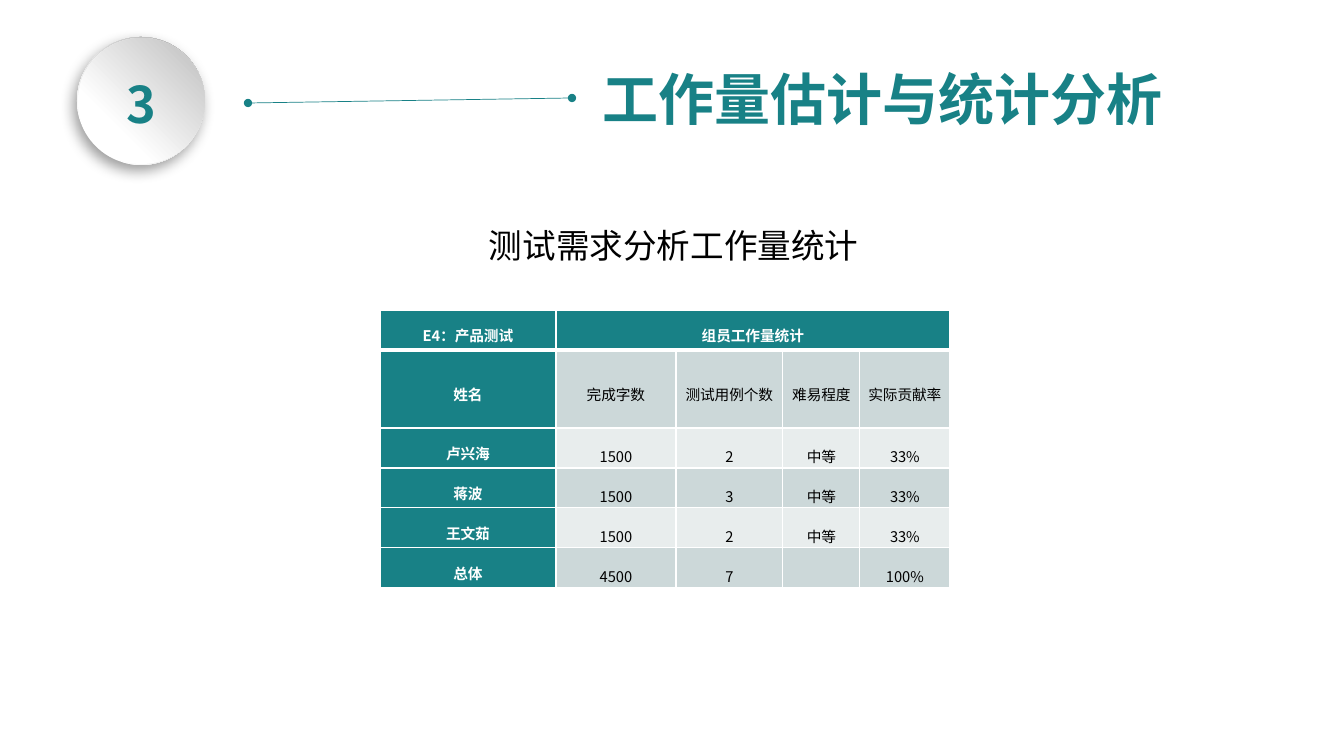
from lxml import etree
from pptx import Presentation, util as u
from pptx.dml.color import RGBColor
from pptx.enum import shapes, text
from pptx.oxml import ns

TEAL = RGBColor(0x18, 0x81, 0x86)
WHITE = RGBColor(0xFF, 0xFF, 0xFF)
BLACK = RGBColor(0x00, 0x00, 0x00)
BAND_DARK = RGBColor(0xCC, 0xD8, 0xD9)
BAND_LIGHT = RGBColor(0xE8, 0xED, 0xED)
SILVER = RGBColor(0xB8, 0xB8, 0xB8)
PALE_SILVER = RGBColor(0xBF, 0xBF, 0xBF)

WORKLOAD = [
    ["E4：产品测试", "组员工作量统计", "", "", ""],
    ["姓名", "完成字数", "测试用例个数", "难易程度", "实际贡献率"],
    ["卢兴海", "1500", "2", "中等", "33%"],
    ["蒋波", "1500", "3", "中等", "33%"],
    ["王文茹", "1500", "2", "中等", "33%"],
    ["总体", "4500", "7", "", "100%"],
]


def px(length):
    """Turn px into EMU."""
    return u.Emu(round(length * u.Inches(1) / 100.8))


def add_xml(parent, tag, **attributes):
    """Append a drawing element and return it."""
    values = {name: str(value) for name, value in attributes.items()}
    return etree.SubElement(parent, ns.qn(tag), values)


class WorkloadSlide:
    """Draw elements on one slide in a shared style."""

    font = "Noto Sans CJK SC"

    def __init__(self, slide):
        self.slide = slide

    def add_words(self, paragraph, words, size, color, bold=False):
        """Add one styled run."""
        run = paragraph.add_run()
        run.text = words
        run.font.name = self.font
        run.font.size = u.Pt(size)
        run.font.bold = bold
        run.font.color.rgb = color
        add_xml(run.font._element, "a:ea", typeface=self.font)

    def label(self, box, words, size, color, bold=False, align=text.PP_ALIGN.LEFT, wrap=True):
        """Add a text box with a single line."""
        frame = self.slide.shapes.add_textbox(*map(px, box)).text_frame
        frame.word_wrap = wrap
        frame.auto_size = text.MSO_AUTO_SIZE.SHAPE_TO_FIT_TEXT
        frame.paragraphs[0].alignment = align
        self.add_words(frame.paragraphs[0], words, size, color, bold)

    def disc(self, box, stops, shadow=False):
        """Add a gradient disc, with a soft shadow if asked."""
        disc = self.slide.shapes.add_shape(shapes.MSO_SHAPE.OVAL, *map(px, box))
        disc.shadow.inherit = False
        disc.line.fill.background()
        disc.fill.gradient()
        disc.fill.gradient_angle = 45
        for stop, (position, color) in zip(disc.fill.gradient_stops, stops):
            stop.position = position
            stop.color.rgb = color
        if shadow:
            effects = disc._element.spPr.find(ns.qn("a:effectLst"))
            outer = add_xml(effects, "a:outerShdw", blurRad=u.Pt(10), dist=u.Pt(5),
                            dir=123 * 60000, algn="ctr", rotWithShape=0)
            add_xml(add_xml(outer, "a:srgbClr", val=BLACK), "a:alpha", val=39000)

    def dotted_end_line(self, start, end):
        """Add a thin line with a dot at each end."""
        line = self.slide.shapes.add_connector(
            shapes.MSO_CONNECTOR.STRAIGHT, *map(px, start + end))
        line.line.color.rgb = TEAL
        line.line.width = u.Pt(0.5)
        for tag in ("a:headEnd", "a:tailEnd"):
            add_xml(line.line._ln, tag, type="oval")
        add_xml(line._element.spPr, "a:effectLst")

    def borders(self, cell, top, bottom):
        """Give a cell white borders."""
        properties = cell._tc.get_or_add_tcPr()
        for side, width in zip("LRTB", (1, 1, top, bottom)):
            edge = add_xml(properties, f"a:ln{side}", w=u.Pt(width))
            add_xml(add_xml(edge, "a:solidFill"), "a:srgbClr", val=WHITE)

    def table(self, left, top, widths, heights, rows):
        """Add the table with a teal header row and first column."""
        table = self.slide.shapes.add_table(
            len(rows), len(widths), px(left), px(top), px(sum(widths)), px(sum(heights))).table
        for column, width in zip(table.columns, widths):
            column.width = px(width)
        for row, height in zip(table.rows, heights):
            row.height = px(height)
        table.cell(0, 1).merge(table.cell(0, len(widths) - 1))
        for r, row in enumerate(rows):
            for c, words in enumerate(row):
                self.cell(table.cell(r, c), r, c, words)

    def cell(self, cell, r, c, words):
        """Style and fill one table cell."""
        heading = r == 0 or c == 0
        self.borders(cell, top=3 if r == 1 else 1, bottom=3 if r == 0 else 1)
        cell.fill.solid()
        cell.fill.fore_color.rgb = TEAL if heading else BAND_DARK if r % 2 else BAND_LIGHT
        cell.margin_left = cell.margin_right = cell.margin_top = cell.margin_bottom = px(1)
        middle = heading or r == 1
        cell.vertical_anchor = text.MSO_ANCHOR.MIDDLE if middle else text.MSO_ANCHOR.BOTTOM
        if words:
            paragraph = cell.text_frame.paragraphs[0]
            paragraph.alignment = text.PP_ALIGN.CENTER
            paragraph.line_spacing = 1.5
            self.add_words(paragraph, words, 10.5, WHITE if heading else BLACK, heading)


def main():
    """Build and save the slide."""
    deck = Presentation()
    deck.slide_width, deck.slide_height = px(1344), px(756)
    page = WorkloadSlide(deck.slides.add_slide(deck.slide_layouts[6]))
    page.disc((77, 37, 128, 128), [(0.17, WHITE), (0.88, SILVER)], shadow=True)
    page.disc((78, 38, 127, 126), [(0.29, WHITE), (0.98, PALE_SILVER)])
    page.label((75, 68, 133, 72), "3", 36, TEAL, True, text.PP_ALIGN.CENTER)
    page.dotted_end_line((248, 103), (572, 98))
    page.label((593, 60, 586, 78), "工作量估计与统计分析", 40, TEAL, True, wrap=False)
    page.label((479, 220, 422, 50), "测试需求分析工作量统计", 24, BLACK)
    page.table(380, 310, [176, 120, 107, 77, 90], [40, 78] + [40] * 4, WORKLOAD)
    deck.save("out.pptx")


if __name__ == "__main__":
    main()
